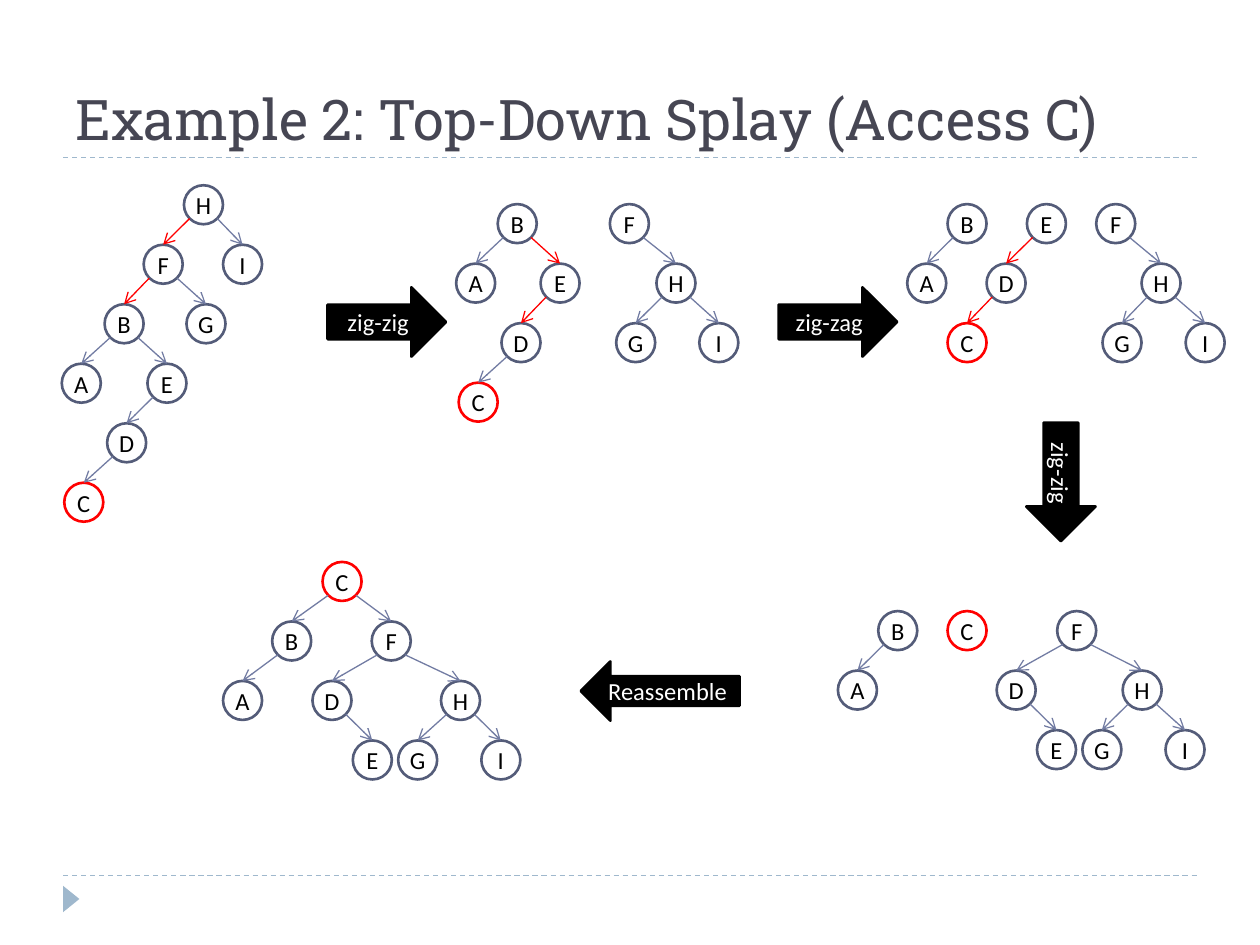
from dataclasses import dataclass

from lxml import etree
from pptx import Presentation
from pptx import util as u
from pptx.dml.color import RGBColor
from pptx.enum import dml, shapes, text
from pptx.oxml import ns

COLORS = {
    "title": "464653", "rule": "9FB8CD", "node": "545C79", "edge": "727CA3",
    "access": "FF0000", "black": "000000", "white": "FFFFFF",
}
WIDTH, HEIGHT = 10, 7.5
MARGIN = WIDTH / 20
DIAMETER = 0.31
EDGE_OFFSET = 0.11  # from a node's centre to where its edges leave
ROW = 34 / 72  # distance between tree levels
ACCESSED = "C"


@dataclass(frozen=True)
class Forest:
    """Each row maps labels to left positions; edges are parent-child pairs."""
    top: float
    rows: tuple[dict[str, float], ...]
    edges: str
    access_path: str = ""


@dataclass(frozen=True)
class Step:
    label: str
    left: float
    top: float
    width: float
    height: float
    kind: shapes.MSO_SHAPE = shapes.MSO_SHAPE.RIGHT_ARROW
    rotation: float = 0


FORESTS = (
    Forest(1.47, ({"H": 1.46}, {"F": 1.14, "I": 1.77}, {"B": 0.83, "G": 1.48},
                  {"A": 0.49, "E": 1.17}, {"D": 0.85}, {"C": 0.51}),
           "HI FG BA BE ED DC", "HF FB"),
    Forest(1.62, ({"B": 3.95, "F": 4.84}, {"A": 3.62, "E": 4.29, "H": 5.21},
                  {"D": 3.98, "G": 4.89, "I": 5.55}, {"C": 3.64}),
           "BA DC FH HG HI", "BE ED"),
    Forest(1.62, ({"B": 7.52, "E": 8.15, "F": 8.7}, {"A": 7.2, "D": 7.83, "H": 9.06},
                  {"C": 7.52, "G": 8.75, "I": 9.41}),
           "BA FH HG HI", "ED DC"),
    Forest(4.85, ({"B": 6.97, "C": 7.52, "F": 8.39}, {"A": 6.65, "D": 7.91, "H": 8.91},
                  {"E": 8.23, "G": 8.59, "I": 9.25}),
           "BA FD FH DE HG HI"),
    Forest(4.46, ({"C": 2.56}, {"B": 2.16, "F": 2.95}, {"A": 1.77, "D": 2.48, "H": 3.5},
                  {"E": 2.8, "G": 3.16, "I": 3.82}),
           "CB CF BA FD FH DE HG HI"),
)
STEPS = (
    Step("zig-zig", 2.6, 2.28, 0.94, 0.55),
    Step("zig-zag", 6.18, 2.28, 0.94, 0.55),
    Step("zig-zig", 7.95, 3.55, 0.94, 0.55, rotation=90),
    Step("Reassemble", 4.61, 5.25, 1.26, 0.47, shapes.MSO_SHAPE.LEFT_ARROW),
)


def rgb(name: str) -> RGBColor:
    return RGBColor.from_string(COLORS[name])


def add_line(slide, start: tuple[float, float], end: tuple[float, float], color: str):
    line = slide.shapes.add_connector(
        shapes.MSO_CONNECTOR.STRAIGHT, *(u.Inches(value) for value in start + end))
    line.line.color.rgb = rgb(color)
    line.line.width = u.Pt(0.75)
    etree.SubElement(line._element.spPr, ns.qn("a:effectLst"))
    return line


def add_rule(slide, top: float) -> None:
    rule = add_line(slide, (MARGIN, top), (WIDTH - MARGIN, top), "rule")
    rule.line.dash_style = dml.MSO_LINE.DASH


def add_edge(slide, parent: tuple[float, float], child: tuple[float, float],
             color: str) -> None:
    side = EDGE_OFFSET if child[0] > parent[0] else -EDGE_OFFSET
    edge = add_line(slide, (parent[0] + side, parent[1] + EDGE_OFFSET),
                    (child[0], child[1] - DIAMETER / 2), color)
    etree.SubElement(edge.line._get_or_add_ln(), ns.qn("a:tailEnd"), type="arrow")


def add_shape(slide, kind: shapes.MSO_SHAPE, left: float, top: float, width: float,
              height: float, fill: str | None, outline: str | None):
    shape = slide.shapes.add_shape(
        kind, *(u.Inches(value) for value in (left, top, width, height)))
    shape.shadow.inherit = False
    if fill:
        shape.fill.solid()
        shape.fill.fore_color.rgb = rgb(fill)
    else:
        shape.fill.background()
    if outline:
        shape.line.color.rgb = rgb(outline)
        shape.line.width = u.Pt(1.5)
    else:
        shape.line.fill.background()
    return shape


def write(shape, words: str, color: str, font: str = "Calibri", size: float = 14,
          align=text.PP_ALIGN.CENTER, anchor=text.MSO_ANCHOR.MIDDLE) -> None:
    frame = shape.text_frame
    frame.text = words
    frame.word_wrap = False
    frame.vertical_anchor = anchor
    paragraph = frame.paragraphs[0]
    paragraph.alignment = align
    run_font = paragraph.runs[0].font
    run_font.name = font
    run_font.size = u.Pt(size)
    run_font.color.rgb = rgb(color)


def add_node(slide, label: str, left: float, top: float) -> None:
    node = add_shape(slide, shapes.MSO_SHAPE.OVAL, left, top, DIAMETER, DIAMETER,
                     None, "access" if label == ACCESSED else "node")
    frame = node.text_frame
    frame.margin_left = frame.margin_right = frame.margin_top = frame.margin_bottom = 0
    write(node, label, "black")


def add_forest(slide, forest: Forest) -> None:
    centers = {}
    for level, row in enumerate(forest.rows):
        top = forest.top + level * ROW
        for label, left in row.items():
            add_node(slide, label, left, top)
            centers[label] = (left + DIAMETER / 2, top + DIAMETER / 2)
    for pairs, color in ((forest.edges, "edge"), (forest.access_path, "access")):
        for parent, child in pairs.split():
            add_edge(slide, centers[parent], centers[child], color)


def add_step(slide, step: Step) -> None:
    arrow = add_shape(slide, step.kind, step.left, step.top, step.width, step.height,
                      "black", "black")
    arrow.rotation = step.rotation
    write(arrow, step.label, "white")


def add_frame(slide) -> None:
    """Draw the title, the two dashed rules and the corner marker."""
    add_rule(slide, 6.95)
    add_rule(slide, 1.25)
    marker = add_shape(slide, shapes.MSO_SHAPE.ISOSCELES_TRIANGLE,
                       0.46, 7.07, 0.21, 0.13, "rule", None)
    marker.rotation = 90
    title = slide.shapes.add_textbox(u.Inches(MARGIN), u.Inches(0.17),
                                     u.Inches(WIDTH - 2 * MARGIN), u.Inches(1.08))
    write(title, "Example 2: Top-Down Splay (Access C)", "title", "Roboto Slab", 32,
          text.PP_ALIGN.LEFT, text.MSO_ANCHOR.BOTTOM)
    title.text_frame.word_wrap = True


def main() -> None:
    presentation = Presentation()
    presentation.slide_width = u.Inches(WIDTH)
    presentation.slide_height = u.Inches(HEIGHT)
    slide = presentation.slides.add_slide(presentation.slide_layouts[6])
    add_frame(slide)
    for forest in FORESTS:
        add_forest(slide, forest)
    for step in STEPS:
        add_step(slide, step)
    presentation.save("out.pptx")


if __name__ == "__main__":
    main()
